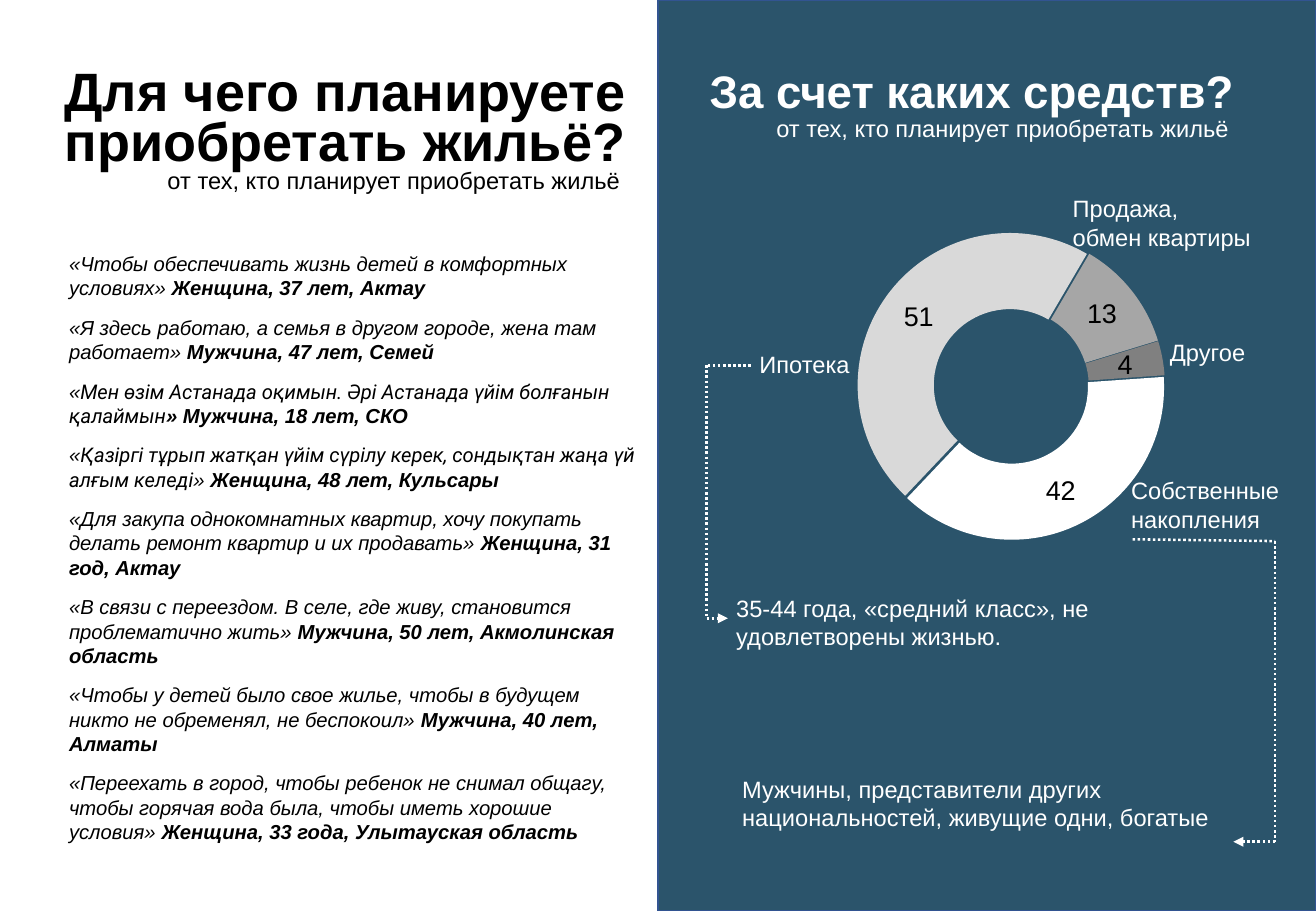
from itertools import pairwise

from lxml import etree
from pptx import Presentation
from pptx.chart.data import CategoryChartData
from pptx.dml.color import RGBColor
from pptx.enum.chart import XL_CHART_TYPE
from pptx.enum.dml import MSO_LINE
from pptx.enum.shapes import MSO_CONNECTOR, MSO_SHAPE
from pptx.enum.text import MSO_ANCHOR, MSO_AUTO_SIZE, PP_ALIGN
from pptx.oxml import parse_xml
from pptx.oxml.ns import nsdecls, qn
from pptx.util import Inches, Pt

BLACK = RGBColor(0x00, 0x00, 0x00)
WHITE = RGBColor(0xFF, 0xFF, 0xFF)
TEAL = RGBColor(0x2B, 0x54, 0x6B)
BLUE = RGBColor(0x32, 0x54, 0x91)
LIGHT = RGBColor(0xD9, 0xD9, 0xD9)
MIDDLE = RGBColor(0xA6, 0xA6, 0xA6)
DARK = RGBColor(0x80, 0x80, 0x80)

SUBTITLE = "от тех, кто планирует приобретать жильё"
QUOTES = [
    ("«Чтобы обеспечивать жизнь детей в комфортных условиях» ", "", "", "Женщина, 37 лет, Актау"),
    ("«Я здесь работаю, а семья в другом городе, жена там работает» ", "", "", "Мужчина, 47 лет, Семей"),
    ("«", "Мен өзім Астанада оқимын. Әрі Астанада үйім болғанын қалаймын", "", "» Мужчина, 18 лет, СКО"),
    ("«", "Қазіргі тұрып жатқан үйім сүрілу керек, сондықтан жаңа үй алғым келеді", "» ",
     "Женщина, 48 лет, Кульсары"),
    ("«Для закупа однокомнатных квартир, хочу покупать делать ремонт квартир и их продавать» ", "", "",
     "Женщина, 31 год, Актау"),
    ("«В связи с переездом. В селе, где живу, становится проблематично жить» ", "", "",
     "Мужчина, 50 лет, Акмолинская область"),
    ("«Чтобы у детей было свое жилье, чтобы в будущем никто не обременял, не беспокоил» ", "", "",
     "Мужчина, 40 лет, Алматы"),
    ("«Переехать в город, чтобы ребенок не снимал общагу, чтобы горячая вода была, "
     "чтобы иметь хорошие условия» ", "", "", "Женщина, 33 года, Улытауская область"),
]
SLICES = [("1", 42, WHITE), ("2", 51, LIGHT), ("3", 13, MIDDLE), ("4", 4, DARK)]
CAPTIONS = [
    (["Собственные накопления"], (85.04, 51.6, 14.96, 10.8), WHITE),
    (["Ипотека"], (56.79, 37.73, 10.16, 4.53), WHITE),
    (["Другое"], (88, 36.4, 11.27, 4.53), WHITE),
    (["Продажа,", "обмен квартиры"], (80.61, 20.67, 18.56, 10.8), WHITE),
    (["35-44 года, «средний класс», не удовлетворены жизнью."], (55.03, 64.53, 36.38, 7.6), WHITE),
    (["Мужчины, представители других национальностей, живущие одни, богатые"],
     (55.49, 84.4, 37.4, 7.6), WHITE),
    ([SUBTITLE], (58.08, 11.87, 36.38, 4.53), WHITE),
    ([SUBTITLE], (11.82, 17.6, 36.38, 4.53), BLACK),
]
ARROWS = [
    [(57.06, 40.1), (53.7, 40.1), (53.7, 67.87), (55.31, 67.87)],
    [(86.06, 59.2), (96.9, 59.4), (96.9, 92.4), (93.72, 92.4)],
]


class Survey:
    font = "Arial"

    def __init__(self):
        self.prs = Presentation()
        self.prs.slide_width, self.prs.slide_height = Inches(10.83), Inches(7.5)
        self.s = self.prs.slides.add_slide(self.prs.slide_layouts[5])

    def at(self, x, y):
        return int(self.prs.slide_width * x / 100), int(self.prs.slide_height * y / 100)

    def box(self, x, y, w, h):
        return *self.at(x, y), *self.at(w, h)

    def style(self, p, size, color, bold=False, italic=False):
        f = p.font
        f.name, f.size, f.bold, f.italic = self.font, Pt(size), bold, italic
        f.color.rgb = color

    def panel(self, area):
        sp = self.s.shapes.add_shape(MSO_SHAPE.RECTANGLE, *self.box(*area))
        sp.shadow.inherit = False
        sp.fill.solid()
        sp.fill.fore_color.rgb = TEAL
        sp.line.color.rgb = BLUE
        sp.line.width = Pt(1)

    def title(self, lines, area):
        sp = self.s.shapes.title
        sp.left, sp.top, sp.width, sp.height = self.box(*area)
        tf = sp.text_frame
        tf.text = "\n".join(lines)
        tf.auto_size = MSO_AUTO_SIZE.NONE
        tf.vertical_anchor = MSO_ANCHOR.MIDDLE
        tf.margin_left = tf.margin_right = Inches(0.08)
        tf.margin_top = tf.margin_bottom = Inches(0.04)
        for p in tf.paragraphs:
            p.alignment = PP_ALIGN.LEFT
            p.line_spacing = Pt(30)
            self.style(p, 32, BLACK, bold=True)

    def text(self, lines, area, size, color, bold=False):
        tf = self.s.shapes.add_textbox(*self.box(*area)).text_frame
        tf.word_wrap = True
        tf.text = "\n".join(lines)
        for p in tf.paragraphs:
            self.style(p, size, color, bold)
        return tf

    def heading(self, text, area):
        tf = self.text([text], area, 27, WHITE, bold=True)
        tf.vertical_anchor = MSO_ANCHOR.MIDDLE
        tf.margin_left = Inches(0.28)
        tf.margin_top = tf.margin_bottom = Inches(0.04)
        tf.paragraphs[0].line_spacing = 0.9

    def quotes(self, quotes, area):
        tf = self.s.shapes.add_textbox(*self.box(*area)).text_frame
        tf.word_wrap = True
        for i, (start, kazakh, end, speaker) in enumerate(quotes):
            p = tf.add_paragraph() if i else tf.paragraphs[0]
            p.space_after = Pt(9)
            self.style(p, 12, BLACK, italic=True)
            for text, name in ((start, self.font), (kazakh, "Roboto"), (end, self.font), (speaker, self.font)):
                if text:
                    r = p.add_run()
                    r.text = text
                    r.font.name = name
                    r.font.bold = text == speaker

    def doughnut(self, slices, area):
        data = CategoryChartData(number_format="###0")
        data.categories = [name for name, _, _ in slices]
        data.add_series("Series 1", [value for _, value, _ in slices])
        chart = self.s.shapes.add_chart(XL_CHART_TYPE.DOUGHNUT_EXPLODED, *self.box(*area), data).chart
        chart.has_legend = chart.has_title = False
        chart.font.name, chart.font.size = self.font, Pt(10)
        chart.font.color.rgb = WHITE
        plot = chart.plots[0]
        plot.vary_by_categories = False
        series = plot.series[0]
        for i, (_, _, color) in enumerate(slices):
            point = series.points[i]
            point.format.fill.solid()
            point.format.fill.fore_color.rgb = color
            point.format.line.fill.background()
        for explosion in series._element.iter(qn("c:explosion")):
            explosion.set("val", "2")
        plot.has_data_labels = True
        labels = plot.data_labels
        labels.show_value, labels.show_percentage = True, False
        labels.number_format, labels.number_format_is_linked = "###0", False
        labels.font.name, labels.font.size = self.font, Pt(16)
        labels.font.color.rgb = BLACK
        root = plot._element
        root.find(qn("c:firstSliceAng")).set("val", "86")
        root.find(qn("c:holeSize")).set("val", "68")
        area_xml = root.getparent()
        for old in area_xml.findall(qn("c:layout")):
            area_xml.remove(old)
        sizes = "".join(f'<c:{k} val="{v}"/>' for k, v in (
            ("layoutTarget", "inner"), ("xMode", "edge"), ("yMode", "edge"),
            ("x", 0.26), ("y", 0.14), ("w", 0.52), ("h", 0.84)))
        area_xml.insert(0, parse_xml(
            f'<c:layout {nsdecls("c")}><c:manualLayout>{sizes}</c:manualLayout></c:layout>'))

    def arrow(self, points):
        for start, end in pairwise(points):
            line = self.s.shapes.add_connector(MSO_CONNECTOR.STRAIGHT, *self.at(*start), *self.at(*end))
            line.line.color.rgb = WHITE
            line.line.width = Pt(1.5)
            line.line.dash_style = MSO_LINE.ROUND_DOT
            etree.SubElement(line._element.spPr, qn("a:effectLst"))
        etree.SubElement(line.line._get_or_add_ln(), qn("a:tailEnd"), type="triangle")


def main():
    survey = Survey()
    survey.panel((50, 0, 50, 100))
    survey.title(["Для чего планируете", "приобретать жильё?"], (4.16, 4.67, 52.63, 17.47))
    survey.heading("За счет каких средств?", (51.34, 1.73, 44.97, 17.2))
    survey.quotes(QUOTES, (4.34, 26.93, 44.88, 66.93))
    survey.doughnut(SLICES, (53.46, 19.33, 44.97, 41.2))
    for lines, area, color in CAPTIONS:
        survey.text(lines, area, 14, color)
    for points in ARROWS:
        survey.arrow(points)
    survey.prs.save("out.pptx")


if __name__ == "__main__":
    main()
